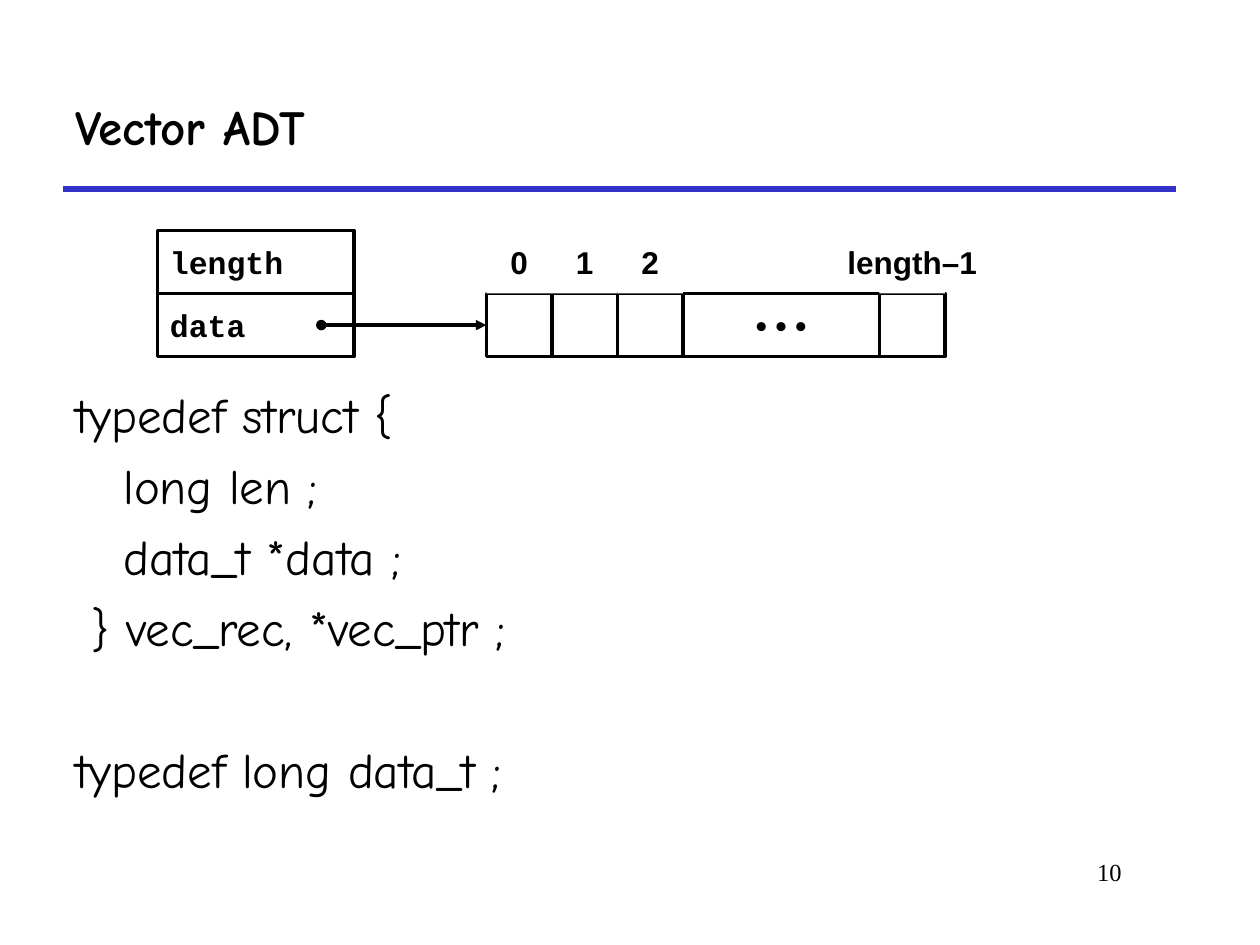
"""Build the Vector ADT slide."""
from dataclasses import dataclass

from lxml.etree import SubElement
from pptx import Presentation
from pptx.dml.color import RGBColor
from pptx.enum.shapes import MSO_CONNECTOR as Connector, MSO_SHAPE as Shape
from pptx.enum.text import MSO_ANCHOR as Anchor, PP_ALIGN as Align
from pptx.oxml.ns import qn
from pptx.util import Inches, Pt


@dataclass(frozen=True)
class Theme:
    """Hold the colours, fonts, type sizes and line widths."""
    black: RGBColor = RGBColor(0, 0, 0)
    white: RGBColor = RGBColor(255, 255, 255)
    rule: RGBColor = RGBColor(0x33, 0x33, 0xCC)
    heading_font: str = "Comic Neue"
    code_font: str = "Courier New"
    label_font: str = "Arial"
    number_font: str = "Times New Roman"
    heading_size: Pt = Pt(28)
    label_size: Pt = Pt(18)
    number_size: Pt = Pt(14)
    rule_width: Pt = Pt(3)
    box_width: Pt = Pt(2)


THEME = Theme()
HEADING = {"name": THEME.heading_font, "size": THEME.heading_size, "bold": True}
BODY = {**HEADING, "bold": False}
CODE = {"name": THEME.code_font, "size": THEME.label_size, "bold": True}
LABEL = {**CODE, "name": THEME.label_font}
NUMBER = {"name": THEME.number_font, "size": THEME.number_size}

ROW_TOP, ROW_HEIGHT = 1.83, 0.5
DATA_TOP = ROW_TOP + ROW_HEIGHT
RECORD_LEFT, WIDE = 1.25, 1.56
ARRAY_LEFT, CELL = 3.86, 0.52
CELL_LABELS = {0: "0", 1: "1", 2: "2", 6: "length–1"}
GAP_COLUMN = 3
CODE_LINES = [
    ("typedef struct {", 0, 7),
    ("long len ;", 0.38, 7),
    ("data_t *data ;", 0.38, 7),
    ("} vec_rec, *vec_ptr ;", 0.13, 7),
    ("typedef long data_t ;", 0, 47.6),
]


def apply_format(target, values):
    """Set every named attribute on the target."""
    for name, value in values.items():
        setattr(target, name, value)


def write(paragraph, text, font, align=Align.LEFT):
    """Write one formatted run into a paragraph."""
    run = paragraph.add_run()
    run.text = text
    paragraph.alignment = align
    apply_format(run.font, font)
    run.font.color.rgb = THEME.black


def add_text_box(slide, left, top, width, height, anchor=Anchor.TOP):
    """Add a wrapping text box and return its text frame."""
    box = slide.shapes.add_textbox(*map(Inches, (left, top, width, height)))
    apply_format(box.text_frame, {"word_wrap": True, "vertical_anchor": anchor})
    return box.text_frame


def add_box(slide, left, top, width, text="", font=LABEL, align=Align.CENTER, outlined=True):
    """Add a white rectangle with an optional outline and text."""
    shape = slide.shapes.add_shape(
        Shape.RECTANGLE, *map(Inches, (left, top, width, ROW_HEIGHT)))
    shape.shadow.inherit = False
    shape.fill.solid()
    shape.fill.fore_color.rgb = THEME.white
    if outlined:
        shape.line.color.rgb = THEME.black
        shape.line.width = THEME.box_width
    else:
        shape.line.fill.background()
    if text:
        apply_format(shape.text_frame, {"word_wrap": False, "vertical_anchor": Anchor.MIDDLE})
        write(shape.text_frame.paragraphs[0], text, font, align)
    return shape


def add_line(slide, start, end, color, width, ends=()):
    """Add a straight connector with optional (tag, type) line ends."""
    line = slide.shapes.add_connector(
        Connector.STRAIGHT, *map(Inches, (*start, *end)))
    line.line.color.rgb = color
    line.line.width = width
    for tag, kind in ends:
        SubElement(line.line._get_or_add_ln(), qn(tag), type=kind)
    SubElement(line._element.spPr, qn("a:effectLst"))
    return line


def add_code(slide):
    """Add the type definitions with indented lines."""
    frame = add_text_box(slide, 0.5, 3, 9.08, 3.58)
    for index, (text, indent, space) in enumerate(CODE_LINES):
        paragraph = frame.add_paragraph() if index else frame.paragraphs[0]
        write(paragraph, text, BODY)
        paragraph.space_before = Pt(space)
        paragraph._p.get_or_add_pPr().set("marL", str(Inches(indent)))


def add_diagram(slide):
    """Add the record, the array cells, their indexes and the pointer."""
    for row, field in enumerate(("length", "data")):
        add_box(slide, RECORD_LEFT, ROW_TOP + row * ROW_HEIGHT, WIDE, field, CODE, Align.LEFT)
    lefts = {column: ARRAY_LEFT + column * CELL for column in CELL_LABELS}
    cells = [add_box(slide, left, DATA_TOP, CELL) for left in lefts.values()]
    add_box(slide, ARRAY_LEFT + GAP_COLUMN * CELL, DATA_TOP, WIDE, "• • •")
    middle = DATA_TOP + ROW_HEIGHT / 2
    pointer = add_line(slide, (2.55, middle), (ARRAY_LEFT, middle), THEME.black,
                       THEME.box_width, (("a:headEnd", "oval"), ("a:tailEnd", "triangle")))
    pointer.end_connect(cells[0], 1)
    for column, text in CELL_LABELS.items():
        add_box(slide, lefts[column], ROW_TOP, CELL, text, outlined=False)


def main():
    """Build and save the presentation."""
    presentation = Presentation()
    apply_format(presentation, {"slide_width": Inches(10), "slide_height": Inches(7.5)})
    slide = presentation.slides.add_slide(presentation.slide_layouts[6])
    add_line(slide, (0.5, 1.5), (9.33, 1.5), THEME.rule, THEME.rule_width)
    number = add_text_box(slide, 7.58, 6.75, 1.42, 0.5)
    write(number.paragraphs[0], "10", NUMBER, Align.RIGHT)
    title = add_text_box(slide, 0.5, 0.5, 8.83, 1, Anchor.MIDDLE)
    write(title.paragraphs[0], "Vector ADT", HEADING)
    add_code(slide)
    add_diagram(slide)
    presentation.save("out.pptx")


if __name__ == "__main__":
    main()
